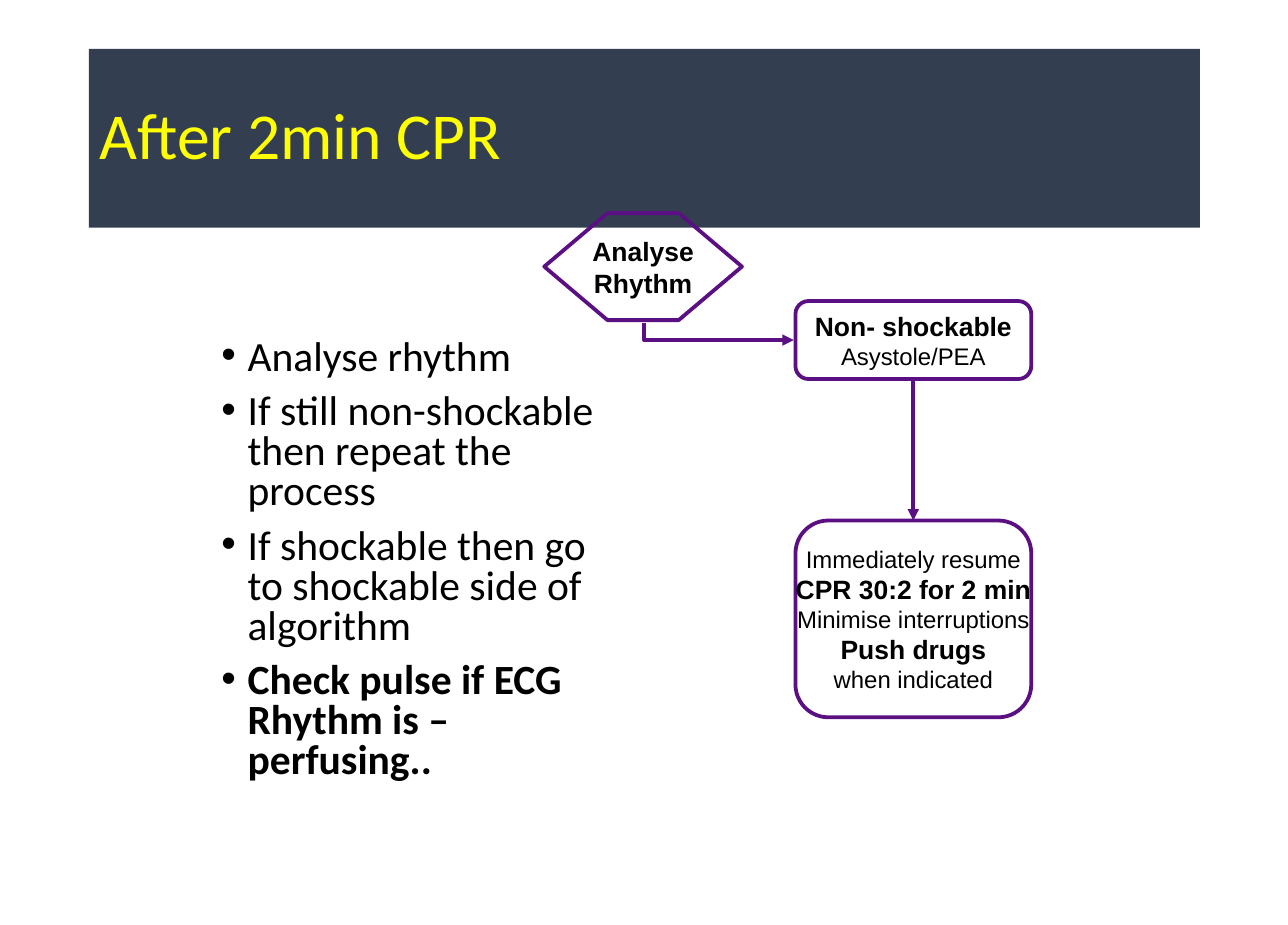
from lxml import etree
from pptx import Presentation
from pptx.dml.color import RGBColor
from pptx.enum.shapes import MSO_CONNECTOR, MSO_SHAPE
from pptx.enum.text import MSO_ANCHOR, MSO_AUTO_SIZE, PP_ALIGN
from pptx.oxml.ns import qn
from pptx.util import Inches, Pt

STRAIGHT, ELBOW = MSO_CONNECTOR.STRAIGHT, MSO_CONNECTOR.ELBOW
HEXAGON, ROUNDED = MSO_SHAPE.HEXAGON, MSO_SHAPE.ROUNDED_RECTANGLE
MIDDLE, NO_AUTOFIT = MSO_ANCHOR.MIDDLE, MSO_AUTO_SIZE.NONE
LEFT, CENTER = PP_ALIGN.LEFT, PP_ALIGN.CENTER

SLATE = RGBColor(0x33, 0x3F, 0x50)
YELLOW = RGBColor(0xFF, 0xFF, 0x00)
PURPLE = RGBColor(0x5A, 0x0F, 0x82)
BLACK = RGBColor(0x00, 0x00, 0x00)


def set_frame(frame, wrap):
    frame.word_wrap = wrap
    frame.auto_size = NO_AUTOFIT
    frame.margin_left = frame.margin_right = Inches(0.12)
    frame.margin_top = frame.margin_bottom = Inches(0.06)


def set_font(paragraph, name, size, color, bold=False):
    paragraph.font.name = name
    paragraph.font.size = Pt(size)
    paragraph.font.color.rgb = color
    paragraph.font.bold = bold


prs = Presentation()
prs.slide_width, prs.slide_height = Inches(14.2), Inches(10.2)
slide = prs.slides.add_slide(prs.slide_layouts[5])

title = slide.shapes.title
title.left, title.top = Inches(0.98), Inches(0.54)
title.width, title.height = Inches(12.25), Inches(1.97)
title.fill.solid()
title.fill.fore_color.rgb = SLATE
set_frame(title.text_frame, True)
title.text_frame.vertical_anchor = MIDDLE
title.text_frame.text = "After 2min CPR"
heading = title.text_frame.paragraphs[0]
heading.alignment = LEFT
heading.line_spacing = 0.9
set_font(heading, "Calibri", 52, YELLOW)

steps = [
    ("Analyse rhythm", False),
    ("If still non-shockable then repeat the process", False),
    ("If shockable then go to shockable side of algorithm", False),
    ("Check pulse if ECG Rhythm is – perfusing..", True),
]
step_list = slide.shapes.add_textbox(Inches(2.32), Inches(3.68), Inches(4.7), Inches(5.37)).text_frame
set_frame(step_list, True)
step_list.text = "\n".join(text for text, bold in steps)
for index, (step, (text, bold)) in enumerate(zip(step_list.paragraphs, steps)):
    step.line_spacing = 0.8
    step.space_before = Pt(11.7 if index else 0)
    properties = step._p.get_or_add_pPr()
    properties.set("marL", str(Inches(0.29)))
    properties.set("indent", str(-Inches(0.29)))
    etree.SubElement(properties, qn("a:buFont")).set("typeface", "Arial")
    etree.SubElement(properties, qn("a:buChar")).set("char", "•")
    set_font(step, "Calibri", 33, BLACK, bold)

stages = [
    (HEXAGON, (6, 2.35, 2.18, 1.18), (0.591, 1.155),
     [("Analyse", True), ("Rhythm", True)]),
    (ROUNDED, (8.77, 3.32, 2.6, 0.86), (0.167,),
     [("Non- shockable", True), ("Asystole/PEA", False)]),
    (ROUNDED, (8.77, 5.74, 2.6, 2.17), (0.167,),
     [("Immediately resume", False), ("CPR 30:2 for 2 min", True),
      ("Minimise interruptions", False), ("Push drugs", True),
      ("when indicated", False)]),
]
flow = []
for kind, place, adjustments, lines in stages:
    stage = slide.shapes.add_shape(kind, *map(Inches, place))
    stage.shadow.inherit = False
    stage.fill.background()
    stage.line.color.rgb = PURPLE
    stage.line.width = Pt(3)
    for index, value in enumerate(adjustments):
        stage.adjustments[index] = value
    set_frame(stage.text_frame, False)
    stage.text_frame.vertical_anchor = MIDDLE
    stage.text_frame.text = "\n".join(text for text, bold in lines)
    for paragraph, (text, bold) in zip(stage.text_frame.paragraphs, lines):
        paragraph.alignment = CENTER
        set_font(paragraph, "Arial", 21 if bold else 19, BLACK, bold)
    flow.append(stage)
analyse, non_shockable, resume_cpr = flow

to_non_shockable = slide.shapes.add_connector(
    ELBOW, Inches(8.02), Inches(2.83), Inches(7.83), Inches(4.48))
bend = to_non_shockable._element.spPr
bend.find(qn("a:xfrm")).set("rot", str(270 * 60000))
bend.find(qn("a:prstGeom")).set("prst", "bentConnector2")

to_resume = slide.shapes.add_connector(
    STRAIGHT, Inches(10.07), Inches(4.18), Inches(10.07), Inches(5.74))
to_resume.begin_connect(non_shockable, 2)
to_resume.end_connect(resume_cpr, 0)

for arrow in (to_non_shockable, to_resume):
    arrow.line.color.rgb = PURPLE
    arrow.line.width = Pt(3)
    etree.SubElement(arrow.line._get_or_add_ln(), qn("a:tailEnd")).set("type", "triangle")
    etree.SubElement(arrow._element.spPr, qn("a:effectLst"))

prs.save("out.pptx")
